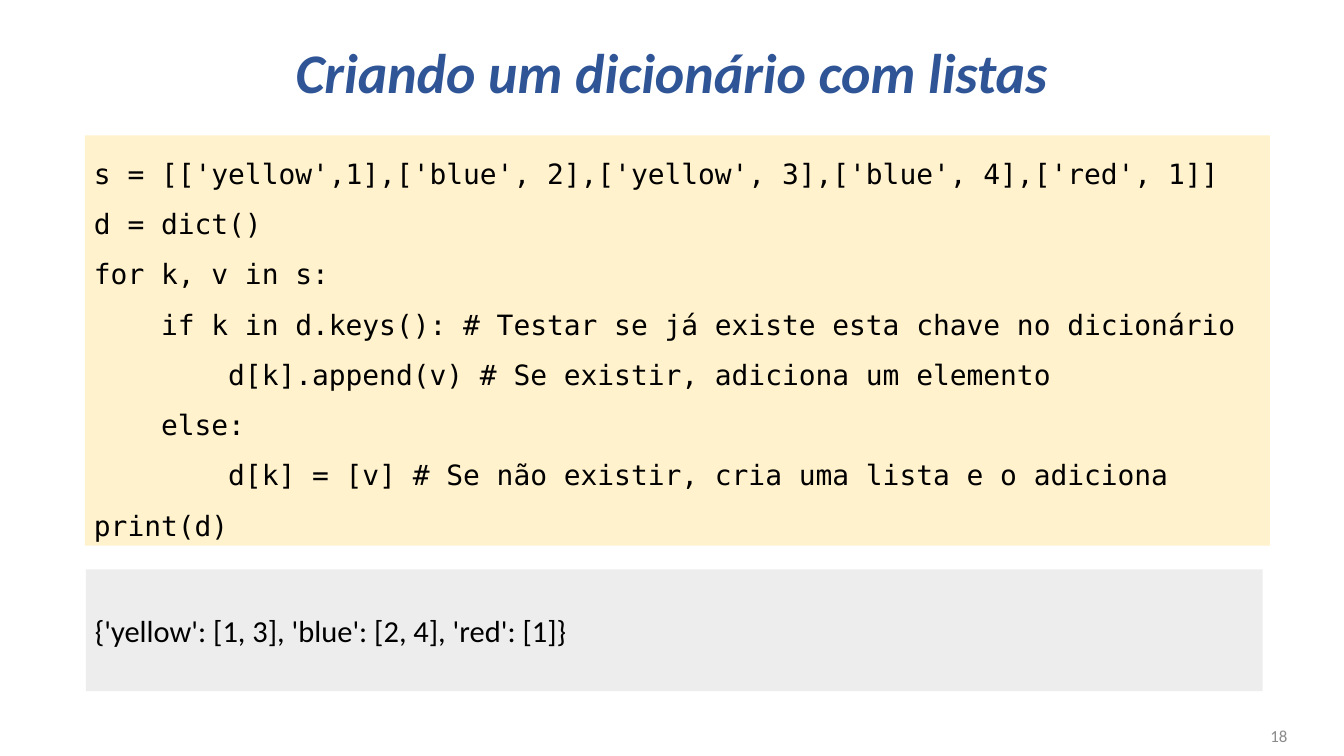
"""Build the slide on making a dictionary of lists."""
from pptx import Presentation
from pptx import util as u
from pptx.dml.color import RGBColor
from pptx.enum import shapes, text

BLUE = RGBColor(0x2F, 0x55, 0x97)
CREAM = RGBColor(0xFF, 0xF2, 0xCC)
PALE = RGBColor(0xED, 0xED, 0xED)
GRAY = RGBColor(0x8B, 0x8B, 0x8B)
BLACK = RGBColor(0, 0, 0)

TITLE = ["Criando um dicionário com listas"]
CODE = [
    "s = [['yellow',1],['blue', 2],['yellow', 3],['blue', 4],['red', 1]]",
    "d = dict()",
    "for k, v in s:",
    "    if k in d.keys(): # Testar se já existe esta chave no dicionário",
    "        d[k].append(v) # Se existir, adiciona um elemento",
    "    else:",
    "        d[k] = [v] # Se não existir, cria uma lista e o adiciona",
    "print(d)",
]
RESULT = ["{'yellow': [1, 3], 'blue': [2, 4], 'red': [1]}"]
PAGE = ["18"]

LEFT, MID, RIGHT = text.PP_ALIGN.LEFT, text.PP_ALIGN.CENTER, text.PP_ALIGN.RIGHT
TOP, HALF = text.MSO_ANCHOR.TOP, text.MSO_ANCHOR.MIDDLE

PARTS = [
    (TITLE, (1.01, 0.02, 12.68, 1.6), None, HALF,
     dict(alignment=MID, line_spacing=0.9),
     dict(name="Calibri", size=u.Pt(44), bold=True, italic=True), BLUE),
    (CODE, (0.93, 1.48, 12.96, 4.49), CREAM, TOP,
     dict(alignment=LEFT, line_spacing=1.5),
     dict(name="DejaVu Sans Mono", size=u.Pt(22)), BLACK),
    (RESULT, (0.94, 6.23, 12.87, 1.33), PALE, HALF,
     dict(alignment=LEFT),
     dict(name="Calibri", size=u.Pt(24)), BLACK),
    (PAGE, (10.87, 7.83, 3.31, 0.44), None, HALF,
     dict(alignment=RIGHT),
     dict(name="Calibri", size=u.Pt(13.3)), GRAY),
]


def apply(item, form):
    for key, value in form.items():
        setattr(item, key, value)


def add_part(slide, lines, place, fill, anchor, para, font, ink):
    place = [u.Inches(n) for n in place]
    if fill is None:
        box = slide.shapes.add_textbox(*place)
    else:
        box = slide.shapes.add_shape(shapes.MSO_SHAPE.RECTANGLE, *place)
        box.shadow.inherit = False
        box.fill.solid()
        box.fill.fore_color.rgb = fill
        box.line.fill.background()
    frame = box.text_frame
    apply(frame, dict(word_wrap=True, vertical_anchor=anchor))
    frame.text = "\n".join(lines)
    for line in frame.paragraphs:
        apply(line, para)
        for run in line.runs:
            apply(run.font, font)
            run.font.color.rgb = ink


def main():
    deck = Presentation()
    apply(deck, dict(slide_width=u.Inches(14.7), slide_height=u.Inches(8.27)))
    slide = deck.slides.add_slide(deck.slide_layouts[6])
    for part in PARTS:
        add_part(slide, *part)
    deck.save("out.pptx")


if __name__ == "__main__":
    main()
